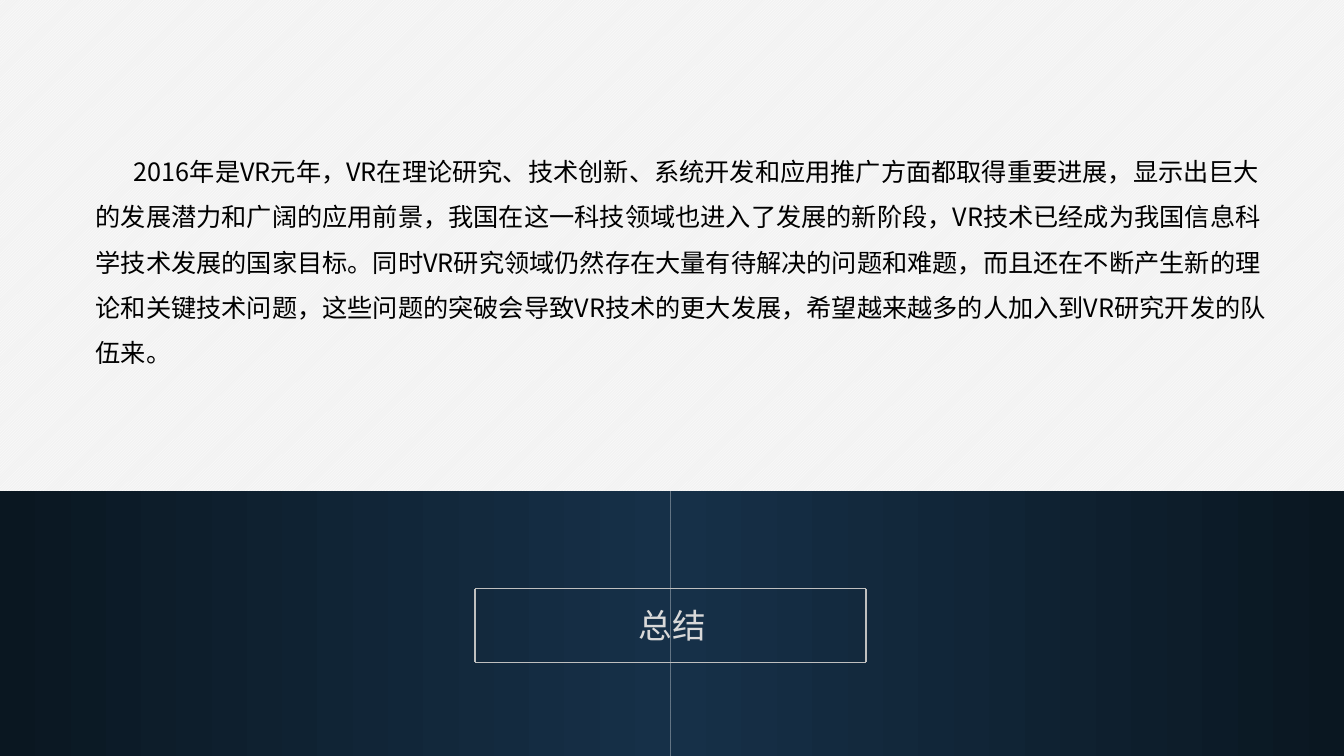
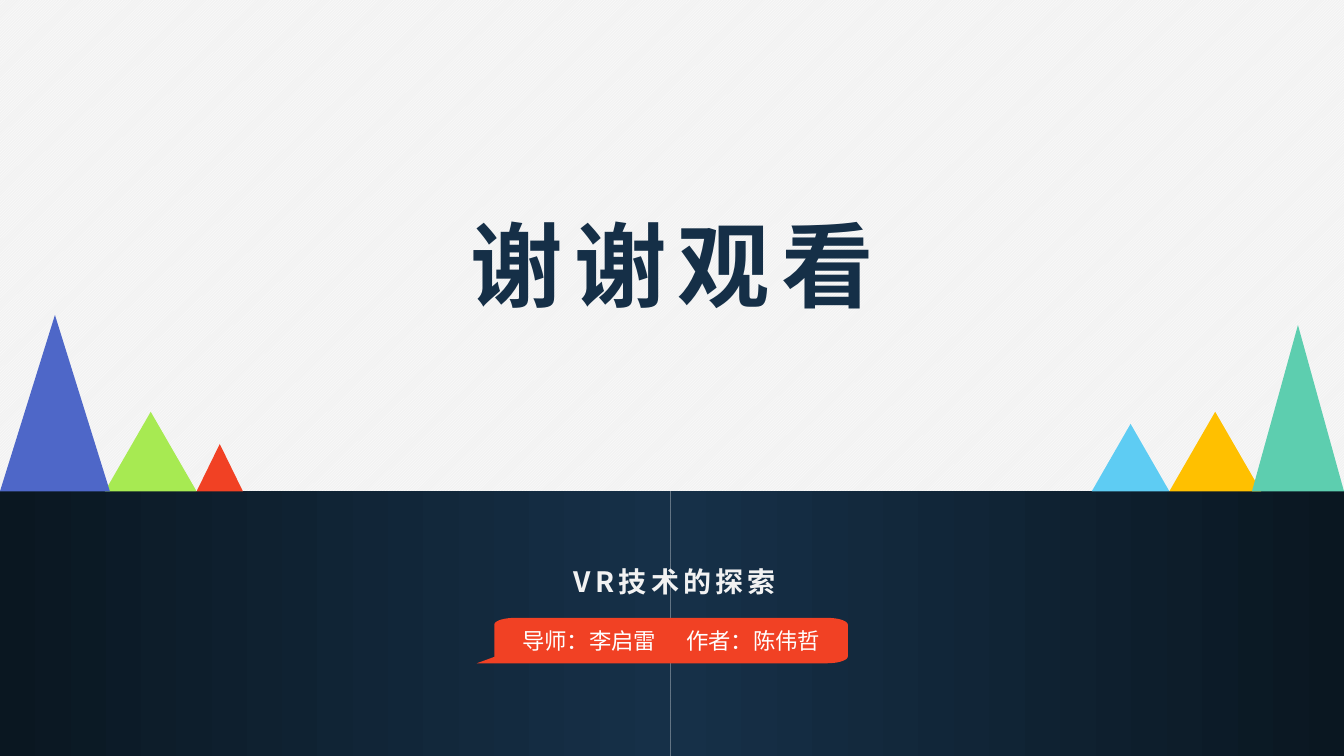
import math
import itertools
import pptx
import pptx.util
import pptx.dml.color
import pptx.enum.dml
import pptx.enum.shapes
import pptx.enum.text
import pptx.oxml
import pptx.oxml.ns

FACE = "Noto Sans CJK SC"
WIDE, HIGH = pptx.util.Inches(13.33), pptx.util.Inches(7.5)
PAGE = (0, 0, WIDE, HIGH)
PALE, NAVY, INK = "F2F2F2", "163048", "0A1721"
RED, WHITE = "F14124", "FFFFFF"
SHAPE = pptx.enum.shapes.MSO_SHAPE
ALIGN = pptx.enum.text.PP_ALIGN
ANCHOR = pptx.enum.text.MSO_ANCHOR
QN = pptx.oxml.ns.qn

BODY = (
    "2016年是VR元年，VR在理论研究、技术创新、系统开发和应用推广方面都取得重要进展，"
    "显示出巨大的发展潜力和广阔的应用前景，我国在这一科技领域也进入了发展的新阶段，"
    "VR技术已经成为我国信息科学技术发展的国家目标。同时VR研究领域仍然存在大量有待解决的问题和难题，"
    "而且还在不断产生新的理论和关键技术问题，这些问题的突破会导致VR技术的更大发展，"
    "希望越来越多的人加入到VR研究开发的队伍来。"
)
PEAKS = [
    (7.8, 6.83, 16.2, "A7EA52"),
    (81.23, 5.78, 13.74, "5ECCF3"),
    (0, 8.18, 35.9, "4E67C8"),
    (14.63, 3.45, 9.64, RED),
    (87, 6.83, 16.2, "FFC000"),
    (93.15, 6.85, 33.85, "5DCEAF"),
]


def tint(code):
    return pptx.dml.color.RGBColor.from_string(code)


def share(box, left, top, width, height):
    x, y, w, h = box
    return (
        round(x + w * left / 100),
        round(y + h * top / 100),
        round(w * width / 100),
        round(h * height / 100),
    )


SKY = share(PAGE, 0, 0, 100, 65)
FLOOR = share(PAGE, 0, 65, 100, 35)


def assign(target, values):
    for name, value in values.items():
        setattr(target, name, value)


def paint(shape, code):
    shape.shadow.inherit = False
    shape.fill.solid()
    shape.fill.fore_color.rgb = tint(code)
    shape.line.fill.background()


def write(slide, box, words, size, code, bold=False, space=0, para=None, frame=None):
    text = slide.shapes.add_textbox(*box).text_frame
    assign(text, {"word_wrap": True, **(frame or {})})
    line = text.paragraphs[0]
    assign(line, {"alignment": ALIGN.CENTER, **(para or {})})
    run = line.add_run()
    run.text = words
    assign(run.font, {"name": FACE, "size": pptx.util.Pt(size), "bold": bold})
    run.font.color.rgb = tint(code)
    props = run._r.get_or_add_rPr()
    if space:
        props.set("spc", str(space * 100))
    east = pptx.oxml.parse_xml(
        f'<a:ea {pptx.oxml.ns.nsdecls("a")} typeface="{FACE}"/>'
    )
    props.append(east)
    return line


def ground(slide, box):
    for left, width, ends in ((0, 49.87, (INK, NAVY)), (49.87, 50.13, (NAVY, INK))):
        band = slide.shapes.add_shape(SHAPE.RECTANGLE, *share(box, left, 0, width, 100))
        paint(band, NAVY)
        band.fill.gradient()
        band.fill.gradient_angle = 0
        for stop, code in zip(band.fill.gradient_stops, ends):
            stop.color.rgb = tint(code)


def start(deck):
    slide = deck.slides.add_slide(deck.slide_layouts[6])
    fill = slide.background.fill
    fill.patterned()
    fill.pattern = pptx.enum.dml.MSO_PATTERN.LIGHT_UPWARD_DIAGONAL
    fill.fore_color.rgb = tint(WHITE)
    fill.back_color.rgb = tint(PALE)
    ground(slide, FLOOR)
    return slide


def border(slide, box):
    x, y, w, h = box
    tips = [(x, y), (x + w, y), (x + w, y + h), (x, y + h), (x, y)]
    for head, tail in itertools.pairwise(tips):
        edge = slide.shapes.add_connector(
            pptx.enum.shapes.MSO_CONNECTOR.STRAIGHT, *head, *tail
        )
        edge.line.color.rgb = tint("BFBFBF")
        edge.line.width = pptx.util.Pt(1)
        props = edge._element.spPr
        props.append(props.makeelement(QN("a:effectLst"), {}))


def story(slide, box):
    line = write(
        slide, share(box, 6.38, 27.69, 89.4, 58.05), BODY, 18, "000000",
        para={"alignment": ALIGN.LEFT, "line_spacing": 1.5},
    )
    line._p.get_or_add_pPr().set("indent", str(pptx.util.Inches(0.38)))


def label(slide, box):
    write(slide, share(box, 36.45, 40.95, 27.15, 19.05), "总结", 24, "D9D9D9")
    border(slide, share(box, 35.33, 36.76, 29.1, 27.81))


def range_row(slide, box):
    for left, width, height, code in PEAKS:
        place = share(box, left, 100 - height, width, height)
        paint(slide.shapes.add_shape(SHAPE.ISOSCELES_TRIANGLE, *place), code)


def bubble(slide, box):
    side, wide, high = 4.7, 5.5, 15
    turns = [
        (100 - wide, high, -90),
        (100 - wide, 100 - high, 0),
        (side + wide, high, 180),
    ]
    arcs = [
        [
            (x + wide * math.cos(math.radians(turn + step)),
             y + high * math.sin(math.radians(turn + step)))
            for step in range(0, 91, 10)
        ]
        for x, y, turn in turns
    ]
    tail = [(0, 100), (side, 86)]
    dots = [share(box, x, y, 0, 0)[:2] for x, y in arcs[0] + arcs[1] + tail + arcs[2]]
    pen = slide.shapes.build_freeform(*dots[0])
    pen.add_line_segments(dots[1:], close=True)
    paint(pen.convert_to_shape(), RED)
    for left, words in ((8.3, "导师：李启雷"), (52.5, "作者：陈伟哲")):
        write(
            slide, share(box, left, 0, 44, 100), words, 16, WHITE,
            frame={"vertical_anchor": ANCHOR.MIDDLE},
        )


def credits(slide, box):
    write(
        slide, share(box, 37.73, 19.24, 24.98, 23.24), "VR技术的探索", 20, PALE,
        bold=True, space=3, para={"line_spacing": 1.5},
    )
    bubble(slide, share(box, 35.48, 47.81, 27.6, 17.14))


def closing(deck):
    slide = start(deck)
    write(
        slide, share(SKY, 31.8, 41.44, 36.45, 24.82), "谢谢观看", 66, "152F47",
        bold=True, space=8,
    )
    range_row(slide, SKY)
    credits(slide, FLOOR)


def summary(deck):
    slide = start(deck)
    label(slide, FLOOR)
    story(slide, SKY)


def main():
    deck = pptx.Presentation()
    assign(deck, {"slide_width": WIDE, "slide_height": HIGH})
    summary(deck)
    closing(deck)
    deck.save("out.pptx")


if __name__ == "__main__":
    main()
